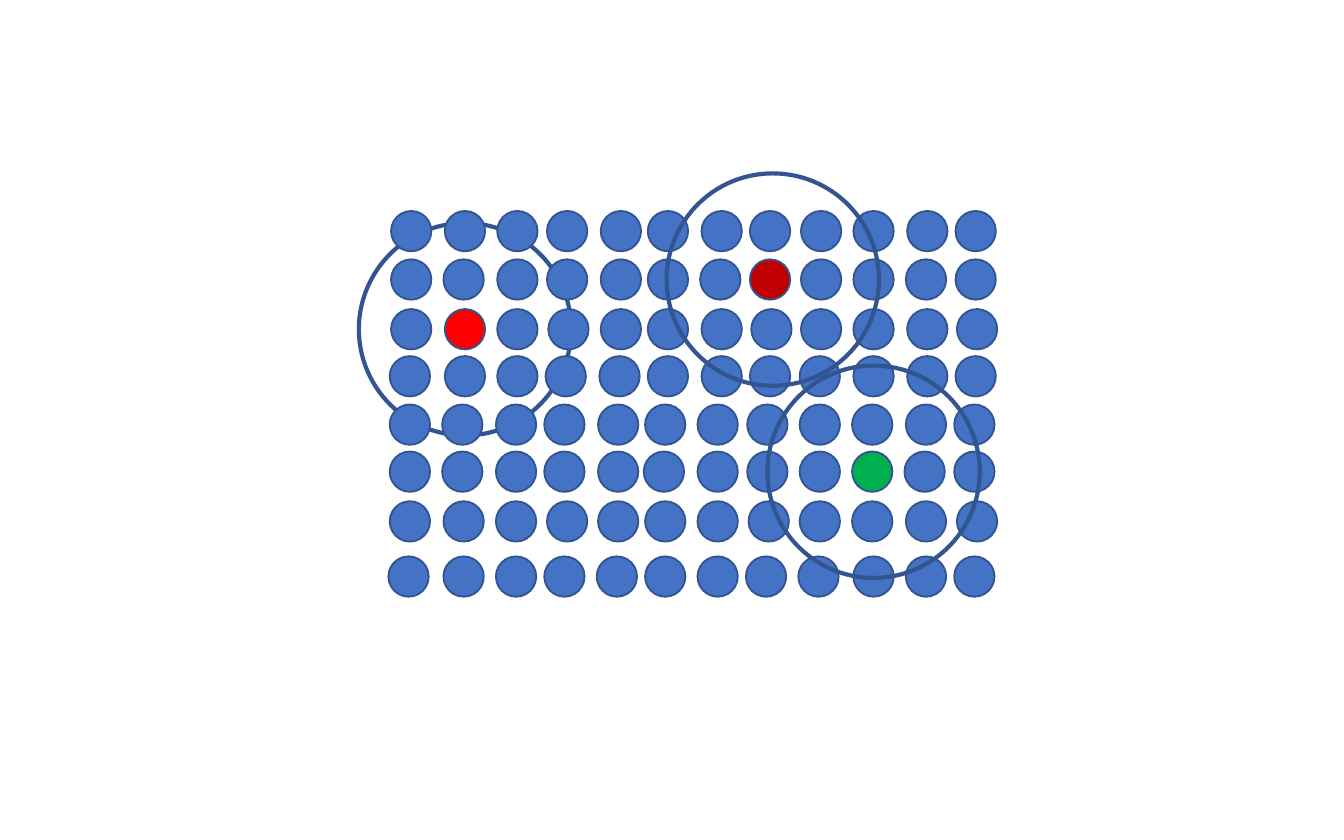
from dataclasses import dataclass, field
from typing import Optional

from pptx import Presentation
from pptx.dml.color import RGBColor
from pptx.enum.shapes import MSO_SHAPE as Preset
from pptx.util import Emu, Pt

EMU_PER_PX = 9144  # 100 px to the inch


@dataclass(frozen=True)
class Theme:
    dot: str = "4472C4"
    outline: str = "325491"
    red: str = "FF0000"
    dark_red: str = "C00000"
    green: str = "00B050"
    dot_line: float = 1
    ring_line: float = 2.25


THEME = Theme()


@dataclass(frozen=True)
class Ring:
    left: int
    top: int


@dataclass(frozen=True)
class DotRow:
    top: int
    columns: tuple[int, ...]
    nudges: dict[int, int] = field(default_factory=dict)  # column: px to the right


DOT_SIZE = 30
RING_SIZE = 158

# Column positions of the upper and lower halves of the grid
UPPER = (291, 331, 370, 407, 447, 482, 522, 558, 596, 635, 675, 711)
LOWER = (290, 329, 369, 405, 445, 480, 519, 556, 595, 634, 674, 710)

DOT_ROWS = (
    DotRow(157, UPPER),
    DotRow(193, UPPER, {1: -1, 6: -1, 10: -1}),
    DotRow(230, UPPER, {3: 1, 7: 1, 11: 1}),
    DotRow(265, UPPER, {0: -1, 3: -1, 4: -1, 8: -1}),
    DotRow(301, LOWER),
    DotRow(336, LOWER, {5: -1, 10: -1}),
    DotRow(373, LOWER, {1: 1, 3: 2, 7: 1, 11: 2}),
    DotRow(414, LOWER, {0: -1, 1: 1, 4: -1, 7: -1, 8: -1, 9: 1}),
)

# Highlighted centres, by (row, column)
CENTRES = {(2, 1): THEME.red, (1, 7): THEME.dark_red, (5, 9): THEME.green}

RING_BEHIND = Ring(267, 166)
RINGS_IN_FRONT = (Ring(496, 129), Ring(571, 272))


def px(length: int) -> Emu:
    return Emu(length * EMU_PER_PX)


def add_circle(shapes, left: int, top: int, size: int,
               fill: Optional[str], line_width: float) -> None:
    shape = shapes.add_shape(Preset.OVAL, px(left), px(top), px(size), px(size))
    shape.shadow.inherit = False
    if fill is None:
        shape.fill.background()
    else:
        shape.fill.solid()
        shape.fill.fore_color.rgb = RGBColor.from_string(fill)
    shape.line.color.rgb = RGBColor.from_string(THEME.outline)
    shape.line.width = Pt(line_width)


def add_ring(shapes, ring: Ring) -> None:
    add_circle(shapes, ring.left, ring.top, RING_SIZE, None, THEME.ring_line)


def add_dot_row(shapes, row_index: int, row: DotRow) -> None:
    for column, left in enumerate(row.columns):
        fill = CENTRES.get((row_index, column), THEME.dot)
        add_circle(shapes, left + row.nudges.get(column, 0), row.top,
                   DOT_SIZE, fill, THEME.dot_line)


def main() -> None:
    presentation = Presentation()
    presentation.slide_width, presentation.slide_height = px(1000), px(625)
    slide = presentation.slides.add_slide(presentation.slide_layouts[6])

    # Left neighbourhood, behind the dots
    add_ring(slide.shapes, RING_BEHIND)

    # Grid of dots
    grid = slide.shapes.add_group_shape()
    for row_index, row in enumerate(DOT_ROWS):
        add_dot_row(grid.shapes, row_index, row)

    # Other neighbourhoods, in front of the dots
    for ring in RINGS_IN_FRONT:
        add_ring(slide.shapes, ring)

    presentation.save("out.pptx")


if __name__ == "__main__":
    main()
